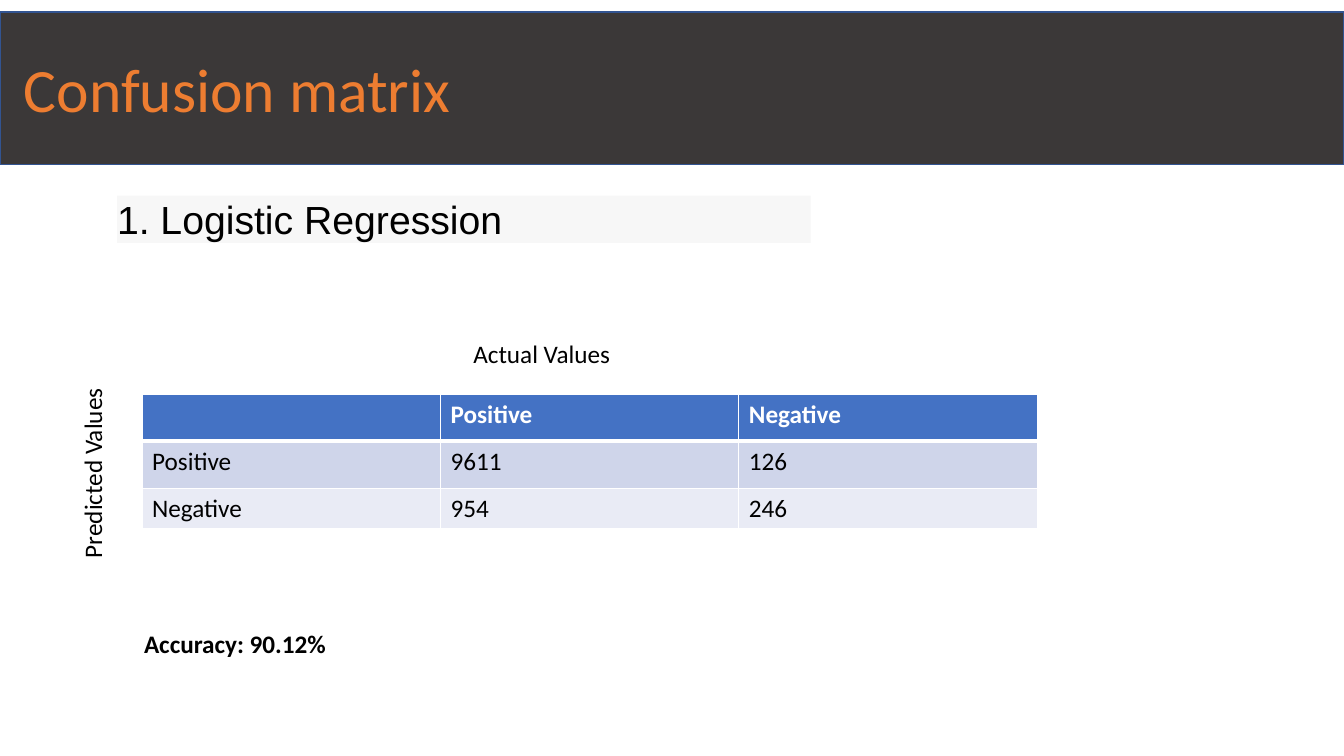
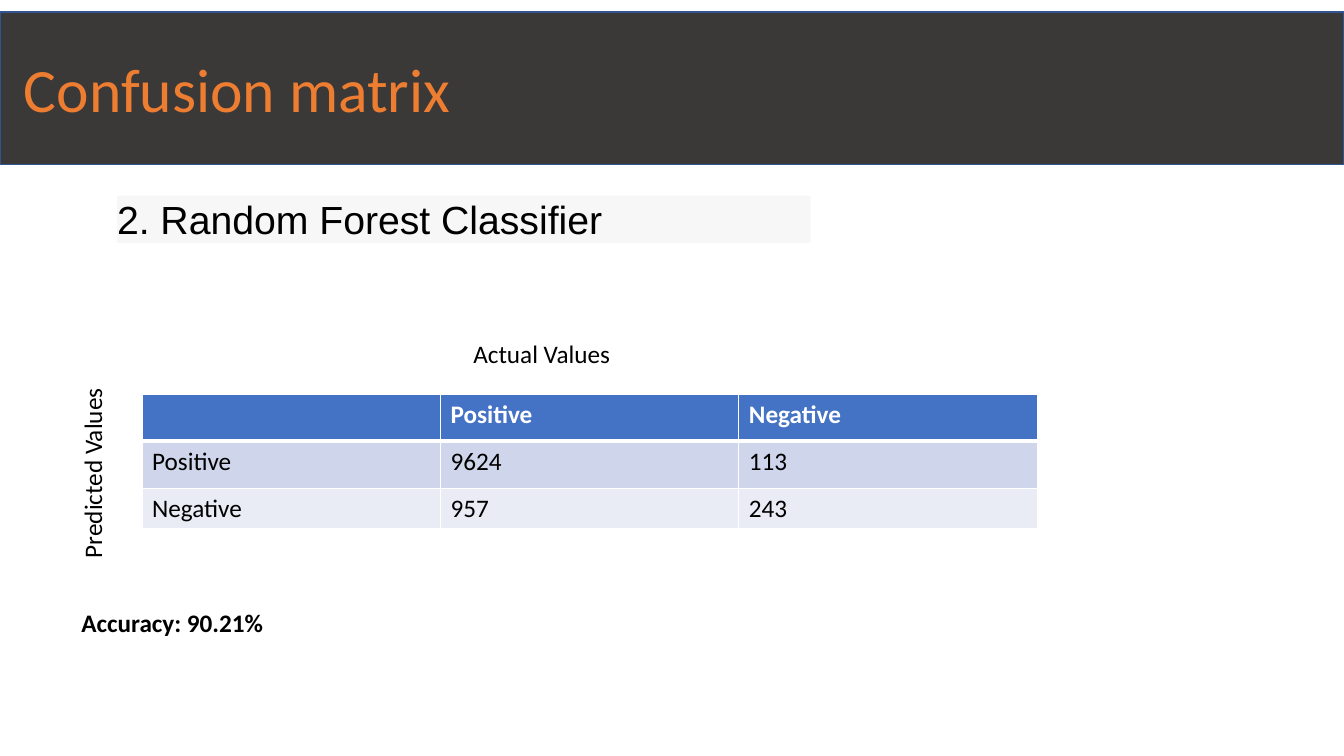
from lxml import etree
from pptx import Presentation
from pptx.dml.color import RGBColor
from pptx.enum.shapes import MSO_SHAPE
from pptx.enum.text import MSO_ANCHOR, MSO_AUTO_SIZE, PP_ALIGN
from pptx.oxml.ns import qn
from pptx.util import Cm, Pt

RECTANGLE = MSO_SHAPE.RECTANGLE
MIDDLE = MSO_ANCHOR.MIDDLE
LEFT, JUSTIFY = PP_ALIGN.LEFT, PP_ALIGN.JUSTIFY
FIT_SHAPE = MSO_AUTO_SIZE.SHAPE_TO_FIT_TEXT

COLORS = {
    "band": "3B3838",
    "band line": "325491",
    "title": "ED7D31",
    "model": "F7F7F7",
    "header": "4472C4",
    "row 1": "CFD5EA",
    "row 2": "E9EBF5",
    "white": "FFFFFF",
    "black": "000000",
}
RGB = {name: RGBColor.from_string(value) for name, value in COLORS.items()}

COLUMN_WIDTH = Cm(7.52)
ROW_HEIGHTS = [Cm(1.19), Cm(1.19), Cm(1.02)]
LABEL_HEIGHT = Cm(1.02)

# Each model: name, counts by predicted row, accuracy and its place
MODELS = [
    {"name": "1. Logistic Regression", "counts": [(9611, 126), (954, 246)],
     "accuracy": "90.12%", "place": (3.38, 15.72, 5.13), "wrap": False},
    {"name": "2. Random Forest Classifier", "counts": [(9624, 113), (957, 243)],
     "accuracy": "90.21%", "place": (1.8, 15.19, 17.12), "wrap": True},
]


def write(frame, text, size=18, font="Calibri", color="black", bold=False, align=LEFT):
    paragraph = frame.paragraphs[0]
    paragraph.alignment = align
    run = paragraph.add_run()
    run.text = text
    run.font.size = Pt(size)
    run.font.name = font
    run.font.bold = bold
    run.font.color.rgb = RGB[color]


def add_label(slide, text, left, top, width, wrap=True, rotation=0, bold=False):
    label = slide.shapes.add_textbox(Cm(left), Cm(top), Cm(width), LABEL_HEIGHT)
    label.rotation = rotation
    label.text_frame.word_wrap = wrap
    label.text_frame.auto_size = FIT_SHAPE
    write(label.text_frame, text, bold=bold)


prs = Presentation()
prs.slide_width, prs.slide_height = Cm(33.87), Cm(19.05)
title_only = prs.slide_layouts[5]

for model in MODELS:
    slide = prs.slides.add_slide(title_only)

    # Title band
    title = slide.shapes.title
    title.left, title.top = Cm(0), Cm(0.3)
    title.width, title.height = prs.slide_width, Cm(3.84)
    title.fill.solid()
    title.fill.fore_color.rgb = RGB["band"]
    title.line.color.rgb = RGB["band line"]
    title.line.width = Pt(1)
    title.text_frame.margin_left = Cm(0.6)
    title.text_frame.vertical_anchor = MIDDLE
    write(title.text_frame, "Confusion matrix", size=44, color="title")

    # Model name
    model_bar = slide.shapes.add_shape(RECTANGLE, Cm(2.95), Cm(4.93), Cm(17.48), Cm(1.19))
    model_bar.shadow.inherit = False
    model_bar.fill.solid()
    model_bar.fill.fore_color.rgb = RGB["model"]
    model_bar.line.fill.background()
    frame = model_bar.text_frame
    frame.margin_left = frame.margin_top = frame.margin_right = frame.margin_bottom = 0
    frame.vertical_anchor = MIDDLE
    frame.word_wrap = True
    frame.auto_size = FIT_SHAPE
    write(frame, model["name"], size=28, font="Arial", align=JUSTIFY)

    # Confusion matrix
    classes = ["Positive", "Negative"]
    rows = [["", *classes]] + [[name, *counts] for name, counts in zip(classes, model["counts"])]
    matrix = slide.shapes.add_table(3, 3, Cm(3.58), Cm(9.93), COLUMN_WIDTH * 3,
                                    sum(ROW_HEIGHTS)).table
    for column in matrix.columns:
        column.width = COLUMN_WIDTH
    for r, (values, fill) in enumerate(zip(rows, ["header", "row 1", "row 2"])):
        matrix.rows[r].height = ROW_HEIGHTS[r]
        is_header = r == 0
        for c, value in enumerate(values):
            cell = matrix.cell(r, c)
            properties = cell._tc.get_or_add_tcPr()
            for side in ("L", "R", "T", "B"):
                header_rule = (r, side) in [(0, "B"), (1, "T")]
                border = etree.SubElement(properties, qn("a:ln" + side),
                                          w=str(Pt(3 if header_rule else 1)))
                line_fill = etree.SubElement(border, qn("a:solidFill"))
                etree.SubElement(line_fill, qn("a:srgbClr"), val=COLORS["white"])
            cell.fill.solid()
            cell.fill.fore_color.rgb = RGB[fill]
            if value != "":
                write(cell.text_frame, str(value), bold=is_header,
                      color="white" if is_header else "black")

    # Axis labels and accuracy
    add_label(slide, "Actual Values", 11.68, 8.41, 6.86)
    add_label(slide, "Predicted Values", -0.1, 11.38, 4.85, wrap=False, rotation=270)
    add_label(slide, "Accuracy: " + model["accuracy"], *model["place"],
              wrap=model["wrap"], bold=True)

prs.save("out.pptx")
